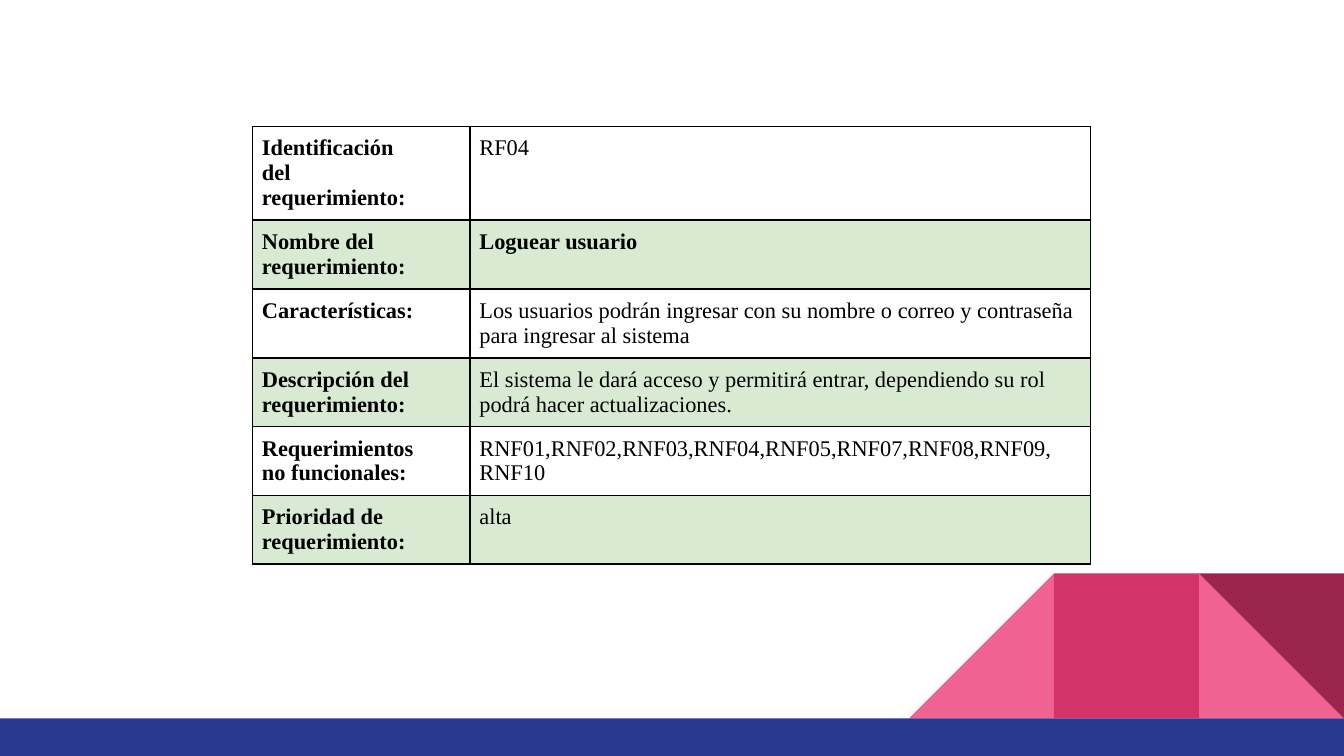
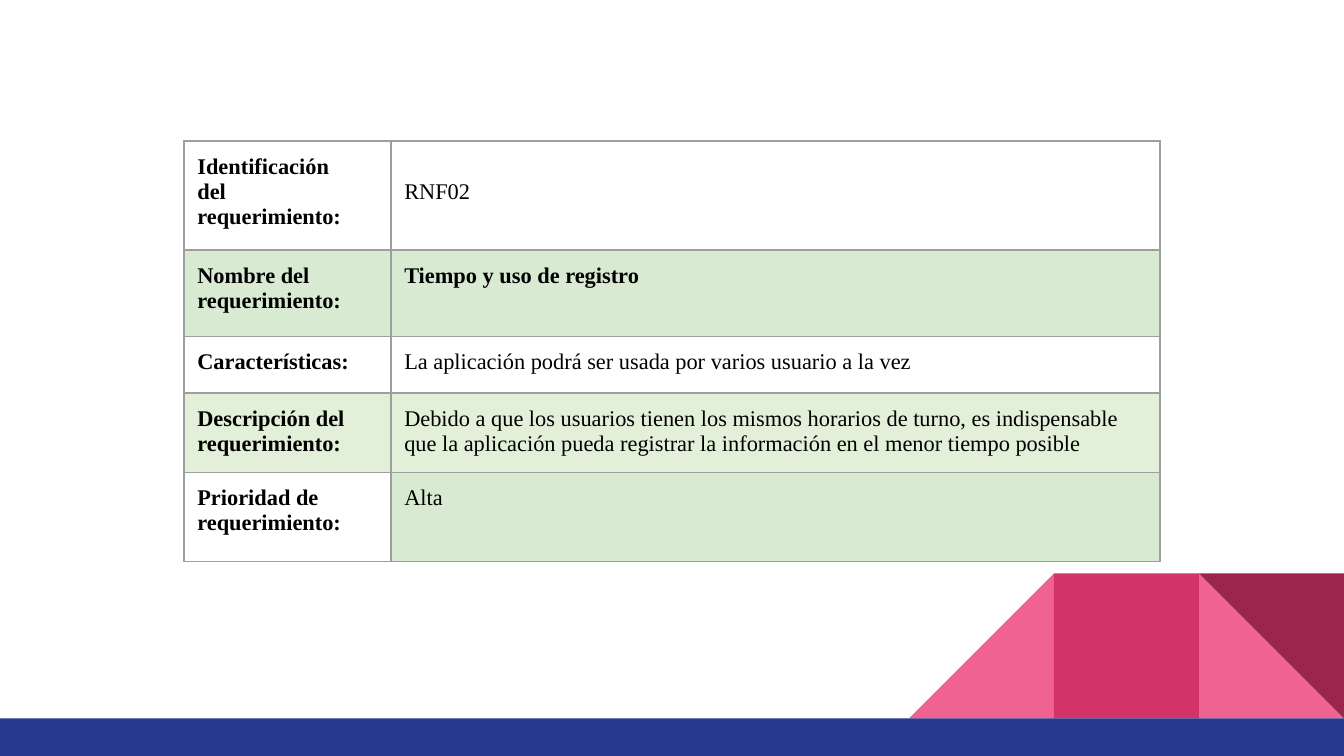
from dataclasses import dataclass

from lxml.etree import SubElement
from pptx import Presentation
from pptx.dml.color import RGBColor
from pptx.enum.shapes import MSO_SHAPE as Shape
from pptx.oxml.ns import qn
from pptx.util import Cm, Pt


@dataclass(frozen=True)
class Theme:
    font: str = "Times New Roman"
    size: int = 12
    text: str = "000000"
    white: str = "FFFFFF"
    green: str = "D9EAD3"
    pale_green: str = "E2EFD9"
    pink: str = "F06292"
    rose: str = "D23369"
    wine: str = "9C254D"
    blue: str = "2A3990"
    black_line: str = "000000"
    grey_line: str = "9E9E9E"
    line_width: float = 1


THEME = Theme()
SLIDE_W, SLIDE_H = 25.4, 14.29
BAND_H = 0.71
TILE = 2.74
NO_STYLE = "{2D5ABB26-0587-4C30-8999-92F81FD0307C}"

ID = "Identificación\ndel\nrequerimiento:"
NAME = "Nombre del\nrequerimiento:"
FEATURES = "Características:"
DESCRIPTION = "Descripción del\nrequerimiento:"
NON_FUNCTIONAL = "Requerimientos\nno funcionales:"
PRIORITY = "Prioridad de\nrequerimiento:"


def write(tf, text, bold=False, size=THEME.size, color=THEME.text, font=THEME.font):
    """Put each line of text in its own paragraph."""
    for i, line in enumerate(text.split("\n")):
        p = tf.paragraphs[0] if i == 0 else tf.add_paragraph()
        r = p.add_run()
        r.text = line
        r.font.name, r.font.size, r.font.bold = font, Pt(size), bold
        r.font.color.rgb = RGBColor.from_string(color)


def add_block(shapes, kind, left, top, width, height, color, rotation=0, flip=False):
    s = shapes.add_shape(kind, Cm(left), Cm(top), Cm(width), Cm(height))
    s.shadow.inherit = False
    s.fill.solid()
    s.fill.fore_color.rgb = RGBColor.from_string(color)
    s.line.fill.background()
    s.rotation = rotation
    if flip:
        s._element.spPr.find(qn("a:xfrm")).set("flipH", "1")


def add_footer(slide, left=0, bottom=SLIDE_H, width=SLIDE_W):
    """Draw the band and the tiles that stand on its right end."""
    shapes = slide.shapes.add_group_shape().shapes
    band_top = bottom - BAND_H
    tiles = [
        (1, Shape.RIGHT_TRIANGLE, THEME.pink, {}),
        (3, Shape.RIGHT_TRIANGLE, THEME.pink, {"flip": True}),
        (2, Shape.RECTANGLE, THEME.rose, {}),
        (1, Shape.RIGHT_TRIANGLE, THEME.wine, {"rotation": 180}),
    ]
    for from_right, kind, color, turn in tiles:
        add_block(shapes, kind, left + width - from_right * TILE, band_top - TILE,
                  TILE, TILE, color, **turn)
    add_block(shapes, Shape.RECTANGLE, left, band_top, width, BAND_H, THEME.blue)


def set_borders(cell, color):
    """Add the four border lines, which must come before the cell's fill."""
    tc_pr = cell._tc.get_or_add_tcPr()
    for i, side in enumerate(("a:lnL", "a:lnR", "a:lnT", "a:lnB")):
        ln = SubElement(tc_pr, qn(side), w=str(Pt(THEME.line_width)))
        fill = SubElement(ln, qn("a:solidFill"))
        SubElement(fill, qn("a:srgbClr"), val=color)
        tc_pr.insert(i, ln)


def fill_cell(cell, text, bold, fill, inset, border):
    cell.margin_left = cell.margin_right = Cm(inset)
    cell.margin_top = cell.margin_bottom = Cm(inset)
    set_borders(cell, border)
    if fill:
        cell.fill.solid()
        cell.fill.fore_color.rgb = RGBColor.from_string(fill)
    else:
        cell.fill.background()
    write(cell.text_frame, text, bold=bold)


def add_requirement(slide, left, top, cols, heights, rows, inset, border):
    """Build a table from rows of label, value, label fill and value fill."""
    frame = slide.shapes.add_table(len(rows), len(cols), Cm(left), Cm(top),
                                   Cm(sum(cols)), Cm(sum(heights)))
    table = frame.table
    table.first_row = table.horz_banding = False
    table._tbl.tblPr.find(qn("a:tableStyleId")).text = NO_STYLE
    for col, width in zip(table.columns, cols):
        col.width = Cm(width)
    for row, height, (label, value, label_fill, value_fill) in zip(table.rows, heights, rows):
        row.height = Cm(height)
        fill_cell(row.cells[0], label, True, label_fill, inset, border)
        fill_cell(row.cells[1], value, label == NAME, value_fill, inset, border)
    return table


def add_slide(prs):
    slide = prs.slides.add_slide(prs.slide_layouts[6])
    add_footer(slide)
    return slide


def login_slide(prs):
    texts = [
        (ID, "RF04"),
        (NAME, "Loguear usuario"),
        (FEATURES, "Los usuarios podrán ingresar con su nombre o correo y contraseña "
                   "para ingresar al sistema"),
        (DESCRIPTION, "El sistema le dará acceso y permitirá entrar, dependiendo su rol "
                      "podrá hacer actualizaciones."),
        (NON_FUNCTIONAL, "RNF01,RNF02,RNF03,RNF04,RNF05,RNF07,RNF08,RNF09,\nRNF10"),
        (PRIORITY, "alta"),
    ]
    fills = [None, THEME.green] * 3
    rows = [(label, value, fill, fill) for (label, value), fill in zip(texts, fills)]
    add_requirement(add_slide(prs), 4.77, 2.39, (4.11, 11.73), [1.76] + [1.29] * 5,
                    rows, inset=0.18, border=THEME.black_line)


def usage_slide(prs):
    rows = [
        (ID, "RNF02", None, None),
        (NAME, "Tiempo y uso de registro", THEME.green, THEME.green),
        (FEATURES, "La aplicación podrá ser usada por varios usuario a la vez", None, None),
        (DESCRIPTION, "Debido a que los usuarios tienen los mismos horarios de turno, es "
                      "indispensable que la aplicación pueda registrar la información en "
                      "el menor tiempo posible", THEME.pale_green, THEME.pale_green),
        (PRIORITY, "Alta", THEME.white, THEME.green),
    ]
    table = add_requirement(add_slide(prs), 3.48, 2.67, (3.91, 14.53),
                            (2.06, 1.63, 1.07, 1.5, 1.68), rows,
                            inset=0.25, border=THEME.grey_line)
    table.cell(0, 1).margin_top = Cm(0.72)


def main():
    prs = Presentation()
    prs.slide_width, prs.slide_height = Cm(SLIDE_W), Cm(SLIDE_H)
    login_slide(prs)
    usage_slide(prs)
    prs.save("out.pptx")


if __name__ == "__main__":
    main()
